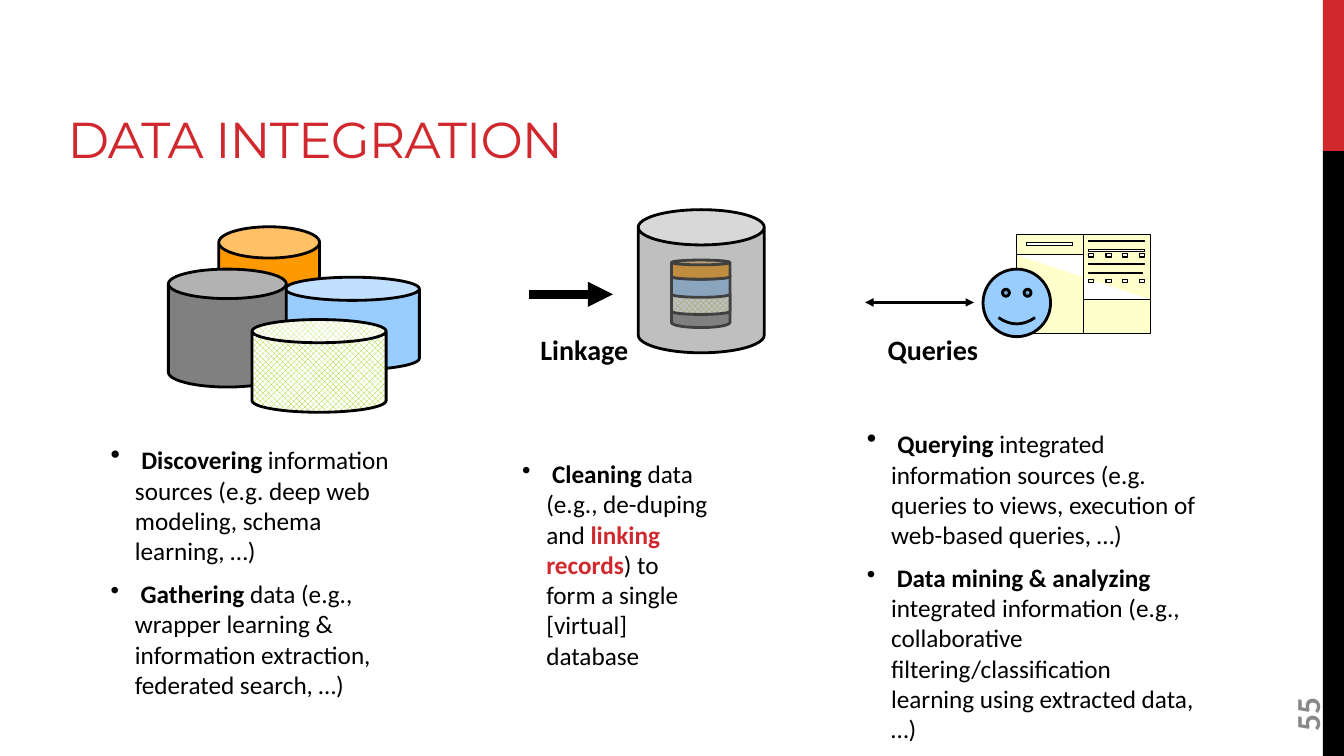
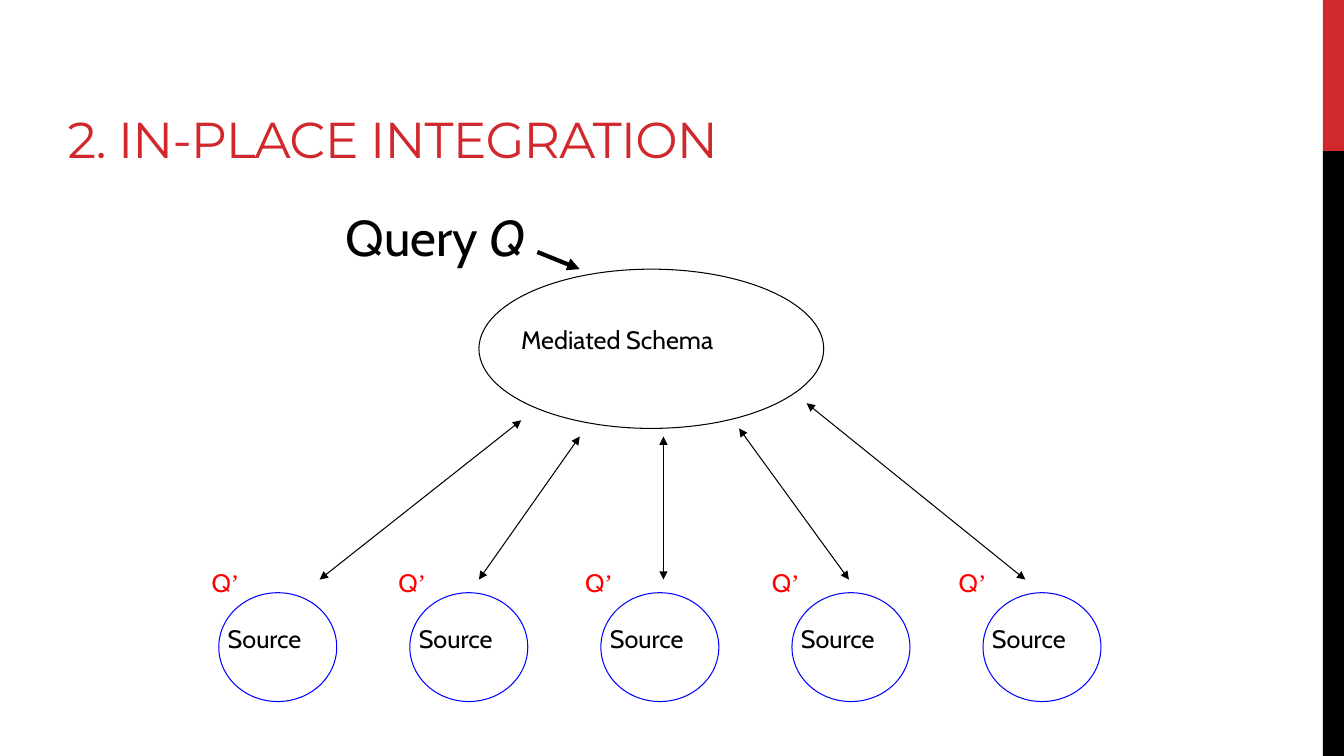
import lxml.etree
import pptx
import pptx.dml.color
import pptx.enum.dml
import pptx.enum.shapes
import pptx.enum.text
import pptx.oxml.ns
import pptx.util

RED = pptx.dml.color.RGBColor(0xD1, 0x28, 0x2E)
BRIGHT_RED = pptx.dml.color.RGBColor(0xFF, 0x00, 0x00)
BLACK = pptx.dml.color.RGBColor(0x00, 0x00, 0x00)
WHITE = pptx.dml.color.RGBColor(0xFF, 0xFF, 0xFF)
GRAY = pptx.dml.color.RGBColor(0x80, 0x80, 0x80)
NUMBER_GRAY = pptx.dml.color.RGBColor(0x89, 0x89, 0x89)
ORANGE = pptx.dml.color.RGBColor(0xFF, 0x99, 0x00)
SKY = pptx.dml.color.RGBColor(0x99, 0xCC, 0xFF)
BLUE = pptx.dml.color.RGBColor(0x00, 0x00, 0xFF)
LIME = pptx.dml.color.RGBColor(0x99, 0xCC, 0x00)
CREAM = pptx.dml.color.RGBColor(0xFF, 0xFF, 0xCC)

TITLE_FONT = "Montserrat"
BODY_FONT = "Calibri"
DIAGRAM_FONT = "Cabin"
SHAPES = pptx.enum.shapes.MSO_SHAPE
ANCHORS = pptx.enum.text.MSO_ANCHOR
RIGHT = pptx.enum.text.PP_ALIGN.RIGHT
HATCH = "hatch"


def inches(*values):
    return [pptx.util.Inches(value) for value in values]


def add_child(parent, tag, **attributes):
    child = lxml.etree.SubElement(parent, pptx.oxml.ns.qn(tag))
    for name, value in attributes.items():
        child.set(name, value)
    return child


def style_shape(shape, fill, line, width):
    shape.shadow.inherit = False
    if fill is None:
        shape.fill.background()
    elif fill == HATCH:
        shape.fill.patterned()
        shape.fill.pattern = pptx.enum.dml.MSO_PATTERN.OUTLINED_DIAMOND
        shape.fill.fore_color.rgb = LIME
        shape.fill.back_color.rgb = WHITE
    else:
        shape.fill.solid()
        shape.fill.fore_color.rgb = fill
    if line is None:
        shape.line.fill.background()
    else:
        shape.line.color.rgb = line
        shape.line.width = pptx.util.Pt(width)


def add_figure(page, kind, place, fill=None, line=BLACK, width=2.0, adjust=None):
    shape = page.shapes.add_shape(kind, *inches(*place))
    style_shape(shape, fill, line, width)
    if adjust is not None:
        shape.adjustments[0] = adjust
    return shape


def add_arrow(page, start, end, width, both=True):
    straight = pptx.enum.shapes.MSO_CONNECTOR.STRAIGHT
    arrow = page.shapes.add_connector(straight, *inches(*start, *end))
    arrow.line.color.rgb = BLACK
    arrow.line.width = pptx.util.Pt(width)
    outline = arrow.line._get_or_add_ln()
    if both:
        add_child(outline, "a:headEnd", type="triangle")
    add_child(outline, "a:tailEnd", type="triangle")
    add_child(arrow._element.spPr, "a:effectLst")


def write(para, spans, font, size, color):
    for text, changes in spans:
        span = para.add_run()
        span.text = text
        span.font.name = changes.get("font", font)
        span.font.size = pptx.util.Pt(changes.get("size", size))
        span.font.color.rgb = changes.get("color", color)
        span.font.bold = changes.get("bold", False)
        span.font.italic = changes.get("italic", False)


def add_text(page, place, spans, font, size, color=BLACK, align=None):
    box = page.shapes.add_textbox(*inches(*place))
    box.text_frame.word_wrap = True
    para = box.text_frame.paragraphs[0]
    para.alignment = align
    write(para, spans, font, size, color)
    return box


def add_bullets(page, place, items):
    box = page.shapes.add_textbox(*inches(*place))
    frame = box.text_frame
    frame.word_wrap = True
    for index, spans in enumerate(items):
        para = frame.add_paragraph() if index else frame.paragraphs[0]
        properties = para._p.get_or_add_pPr()
        indent = pptx.util.Inches(0.24)
        properties.set("marL", str(indent))
        properties.set("indent", str(-indent))
        color = add_child(properties, "a:buClr")
        add_child(color, "a:srgbClr", val=str(BLACK))
        add_child(properties, "a:buChar", char="•")
        if index:
            para.space_before = pptx.util.Pt(9)
        write(para, spans, BODY_FONT, 18, BLACK)


def add_page(deck, title, number=None):
    page = deck.slides.add_slide(deck.slide_layouts[6])
    add_figure(page, SHAPES.RECTANGLE, (13.12, 0, 0.21, 1.5), RED, None)
    add_figure(page, SHAPES.RECTANGLE, (13.12, 1.5, 0.21, 6), BLACK, None)
    box = add_text(page, (0.67, 0.17, 8.44, 1.5), [(title, {})], TITLE_FONT, 36, RED)
    frame = box.text_frame
    frame.vertical_anchor = ANCHORS.BOTTOM
    frame.margin_left = frame.margin_right = frame.margin_top = frame.margin_bottom = 0
    frame.paragraphs[0].runs[0].font._element.set("spc", "-60")
    if number:
        spans = [(number, {"bold": True})]
        box = add_text(page, (12.24, 6.37, 1.44, 0.53), spans, BODY_FONT, 24, NUMBER_GRAY)
        box.rotation = 270
        box.text_frame.vertical_anchor = ANCHORS.MIDDLE
    return page


def add_cans(page, left, top, cans):
    for x, y, width, height, fill, adjust in cans:
        place = (left + x, top + y, width, height)
        can = add_figure(page, SHAPES.CAN, place, fill, adjust=adjust)
    return can


def add_discovery(page, left, top):
    add_cans(page, left + 0.67, top, [
        (0.5, 0, 1, 1.25, ORANGE, 0.31),
        (1.16, 0.5, 1.33, 0.92, SKY, 0.25),
        (0, 0.42, 1.17, 1.17, GRAY, 0.25),
        (0.83, 0.92, 1.33, 0.92, HATCH, 0.25),
    ])
    add_bullets(page, (left, top + 2.08, 3.17, 2.66), [
        [(" ", {"size": 20}), ("Discovering", {"bold": True}),
         (" information sources (e.g. deep web modeling, schema learning, …)", {})],
        [(" ", {}), ("Gathering", {"bold": True}),
         (" data (e.g., wrapper learning & information extraction, federated search, …)", {})],
    ])


def add_linkage(page, left, top):
    add_cans(page, left + 1.58, top + 0.5, [
        (0, 0.3, 0.58, 0.37, GRAY, 0.27),
        (0, 0.3, 0.58, 0.24, HATCH, 0.25),
        (0, 0.13, 0.58, 0.24, SKY, 0.25),
        (0, 0, 0.58, 0.19, ORANGE, 0.25),
    ])
    glass = add_cans(page, left + 1.25, top, [(0, 0, 1.25, 1.42, GRAY, 0.28)])
    tint = glass.fill._xPr.find(pptx.oxml.ns.qn("a:solidFill"))[0]
    add_child(tint, "a:alpha", val="50000")
    add_arrow(page, (left + 0.17, top + 0.84), (left + 1, top + 0.84), 6, both=False)
    add_text(page, (left + 0.01, top + 1.17, 1.24, 0.43),
             [("Linkage", {"bold": True})], BODY_FONT, 20, align=RIGHT)
    add_bullets(page, (left, top + 2.42, 2.08, 1.9), [
        [(" ", {}), ("Cleaning", {"bold": True}), (" data (e.g., de-duping and ", {}),
         ("linking records", {"bold": True, "color": RED}),
         (") to form a single [virtual] database", {})],
    ])


def rectangle(left, top, right, bottom):
    return [(left, top), (right, top), (right, bottom), (left, bottom), (left, top)]


def add_window(page, left, top):
    width, height, split = 1.33, 0.98, 0.67
    contours = [
        rectangle(0, 0, width, height),
        rectangle(0.1, 0.08, 0.56, 0.11),
        [(0, 0.2), (split, 0.2), (split, 0.64), (width, 0.64)],
    ]
    for y, end, thickness in ((0.06, 1.27, 0.01), (0.15, 1.27, 0.02),
                              (0.28, 1.27, 0.01), (0.37, 1.25, 0.01)):
        contours.append(rectangle(0.72, y, end, y + thickness))
    for y in (0.19, 0.44):
        for x in (0.72, 0.89, 1.05, 1.22):
            contours.append(rectangle(x, y, x + 0.05, y + 0.03))
    contours.append([(split, 0.64), (split, height), (split, 0.64)])
    contours.append([(split, 0.2), (split, 0), (split, 0.2)])

    builder = None
    for contour in contours:
        points = [inches(left + x, top + y) for x, y in contour]
        if builder is None:
            builder = page.shapes.build_freeform(*points[0], scale=1.0)
        else:
            builder.move_to(*points[0])
        builder.add_line_segments(points[1:], close=False)
    style_shape(builder.convert_to_shape(), CREAM, BLACK, 0.75)


def add_querying(page, left, top):
    add_window(page, left + 1.58, top)
    add_figure(page, SHAPES.SMILEY_FACE, (left + 1.25, top + 0.34, 0.67, 0.67), SKY, adjust=0.05)
    add_text(page, (left + 0.06, top + 0.92, 1.24, 0.43),
             [("Queries", {"bold": True})], BODY_FONT, 20, align=RIGHT)
    add_arrow(page, (left + 1.16, top + 0.67), (left + 0.08, top + 0.67), 2)
    add_bullets(page, (left, top + 1.84, 3.5, 2.96), [
        [(" ", {"size": 20}), ("Querying", {"bold": True}),
         (" integrated information sources (e.g. queries to views, "
          "execution of web-based queries, …)", {})],
        [(" ", {}), ("Data mining & analyzing ", {"bold": True}),
         ("integrated information (e.g., collaborative filtering/classification "
          "learning using extracted data, …)", {})],
    ])


def add_mediator(page, left, top):
    add_figure(page, SHAPES.OVAL, (left, top, 3.42, 1.58), width=0.75)
    add_text(page, (left + 0.32, top + 0.5, 2.2, 0.4),
             [("Mediated Schema", {})], DIAGRAM_FONT, 18)
    add_text(page, (left - 1.42, top - 0.67, 3.56, 0.7),
             [("Query ", {}), ("Q", {"italic": True})], DIAGRAM_FONT, 36)
    add_arrow(page, (left + 0.58, top - 0.17), (left + 1, top), 3, both=False)


def add_sources(page, left, top):
    count = 5
    source_step = 7.58 / (count - 1)
    query_step = 7.41 / (count - 1)
    for index in range(count):
        x = left + 0.17 + index * source_step
        add_figure(page, SHAPES.OVAL, (x, top + 0.3, 1.17, 1.08), line=BLUE, width=0.75)
        add_text(page, (x - 0.01, top + 0.55, 0.99, 0.4), [("Source", {})], DIAGRAM_FONT, 18)
        add_text(page, (left + index * query_step, top, 0.6, 0.4),
                 [("Q", {}), ("’", {"font": "Times New Roman"})],
                 DIAGRAM_FONT, 18, BRIGHT_RED)


def add_fan(page, left, top):
    fan = [(0, 2, 0.17), (1.58, 2.58, 0.33), (3.41, 3.41, 0.33),
           (5.25, 4.16, 0.25), (7, 4.83, 0)]
    for source_x, schema_x, schema_y in fan:
        add_arrow(page, (left + source_x, top + 1.75), (left + schema_x, top + schema_y), 0.75)


def main():
    deck = pptx.Presentation()
    deck.slide_width, deck.slide_height = inches(13.33, 7.5)

    page = add_page(deck, "DATA INTEGRATION", "55")
    add_discovery(page, 1, 2.25)
    add_querying(page, 8.5, 2.33)
    add_linkage(page, 5.08, 2.08)

    page = add_page(deck, "2. IN-PLACE INTEGRATION")
    add_mediator(page, 4.75, 2.67)
    add_sources(page, 2, 5.58)
    add_fan(page, 3.17, 4)

    deck.save("out.pptx")


if __name__ == "__main__":
    main()
